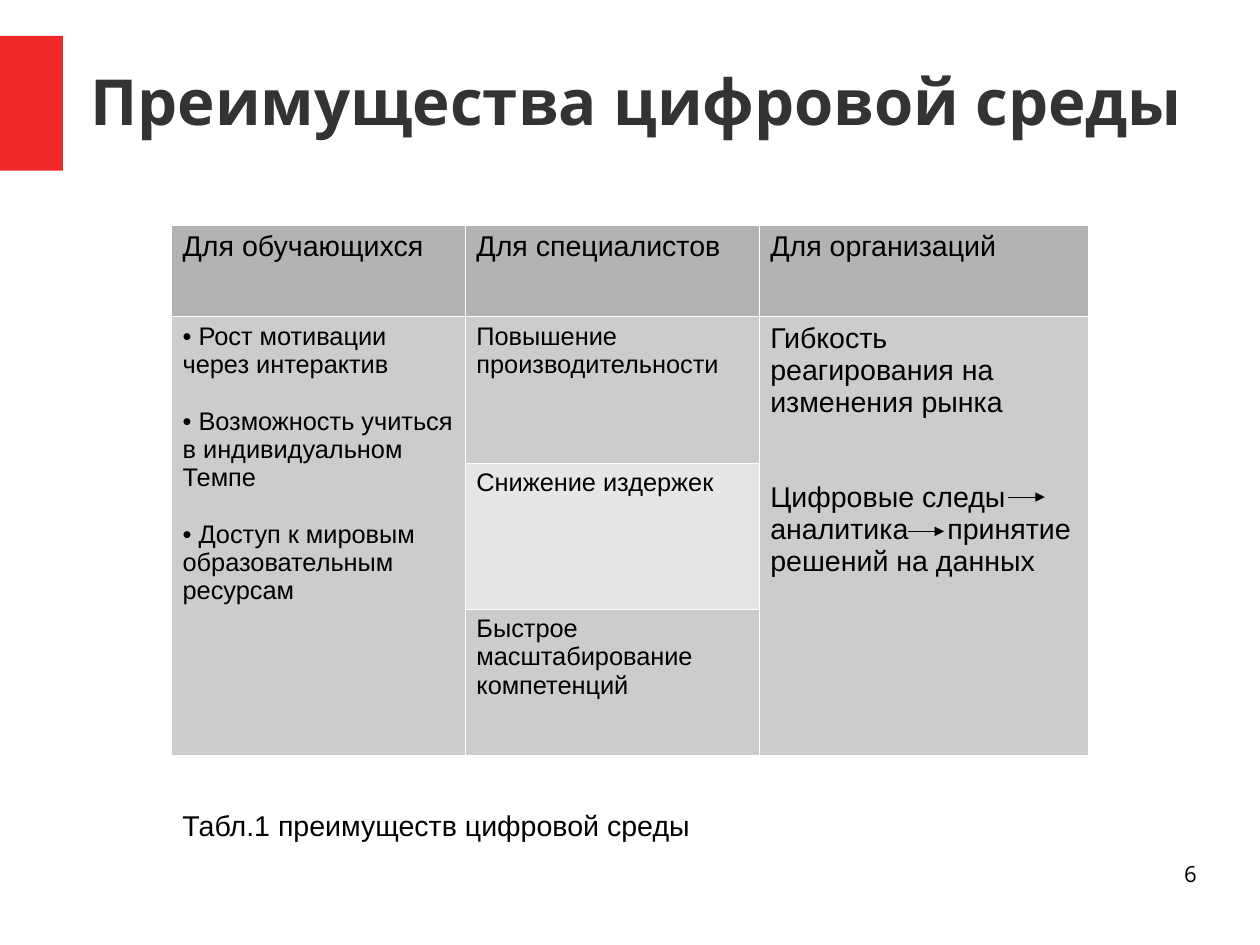
from dataclasses import dataclass
from typing import Any

import lxml.etree
import pptx
import pptx.dml.color
import pptx.enum.shapes
import pptx.enum.text
import pptx.oxml.ns
import pptx.util

COLUMNS, ROWS = 110, 83
SLIDE_WIDTH = pptx.util.Cm(28)
SLIDE_HEIGHT = pptx.util.Cm(21)
COLORS = {
    "accent": "EF2929", "title": "333333", "text": "000000", "border": "FFFFFF",
    "header": "B3B3B3", "dark": "CCCCCC", "light": "E6E6E6",
}
COLUMN_WIDTHS = (25.65, 25.65, 28.75)
ROW_HEIGHTS = (8.03, 12.85, 12.85, 12.85)
TABLE_LEFT, TABLE_TOP = 14.95, 19.77
ARROW_LENGTH = 3.19
ANALYTICS_TAB = pptx.util.Inches(1.55)


@dataclass
class Label:
    text: str
    left: float
    top: float
    width: float
    height: float
    size: float
    font: str = "Arial"
    color: str = "text"
    bold: bool = False
    wrap: bool = True
    inset: bool = False
    align: Any = pptx.enum.text.PP_ALIGN.LEFT
    anchor: Any = pptx.enum.text.MSO_ANCHOR.TOP


@dataclass
class Entry:
    row: int
    column: int
    groups: tuple[tuple[str, ...], ...]
    size: float = 16
    gap: float = 0
    row_span: int = 1


@dataclass
class Arrow:
    left: float
    top: float


LABELS = (
    Label("Преимущества цифровой среды", 7.88, 1, 96.6, 15.66, 40, "Open Sans", "title",
          bold=True, anchor=pptx.enum.text.MSO_ANCHOR.MIDDLE),
    Label("Табл.1 преимуществ цифровой среды", TABLE_LEFT, 70.5, 46.3, 3.81, 18,
          wrap=False, inset=True),
    Label("6", 78.83, 75.57, 25.65, 5.72, 14, "Open Sans",
          align=pptx.enum.text.PP_ALIGN.RIGHT),
)
ENTRIES = (
    Entry(0, 0, (("Для обучающихся",),), 18),
    Entry(0, 1, (("Для специалистов",),), 18),
    Entry(0, 2, (("Для организаций",),), 18),
    Entry(1, 0, (("• Рост мотивации", "через интерактив"),
                 ("• Возможность учиться", "в индивидуальном", "Темпе"),
                 ("• Доступ к мировым", "образовательным", "ресурсам")),
          gap=18, row_span=3),
    Entry(1, 1, (("Повышение производительности",),)),
    Entry(2, 1, (("Снижение издержек",),)),
    Entry(3, 1, (("Быстрое масштабирование", "компетенций"),)),
    Entry(1, 2, (("Гибкость реагирования на", "изменения рынка"),
                 ("Цифровые следы", "аналитика\tпринятие", "решений на данных")),
          18, gap=40, row_span=3),
)
ARROWS = (Arrow(88.02, 43.66), Arrow(79.23, 46.67))


def across(columns: float) -> int:
    return round(SLIDE_WIDTH * columns / COLUMNS)


def down(rows: float) -> int:
    return round(SLIDE_HEIGHT * rows / ROWS)


def color(name: str) -> pptx.dml.color.RGBColor:
    return pptx.dml.color.RGBColor.from_string(COLORS[name])


def add_element(parent: Any, tag: str, **attributes: str) -> Any:
    return lxml.etree.SubElement(parent, pptx.oxml.ns.qn(tag), attributes)


def style_font(paragraph: Any, size: float, name: str, color_name: str, bold: bool) -> None:
    paragraph.font.size = pptx.util.Pt(size)
    paragraph.font.name = name
    paragraph.font.bold = bold
    paragraph.font.color.rgb = color(color_name)


def add_label(slide: Any, label: Label) -> None:
    shape = slide.shapes.add_textbox(across(label.left), down(label.top),
                                     across(label.width), down(label.height))
    frame = shape.text_frame
    frame.word_wrap = label.wrap
    frame.vertical_anchor = label.anchor
    if not label.inset:
        frame.margin_left = frame.margin_right = frame.margin_top = frame.margin_bottom = 0
    paragraph = frame.paragraphs[0]
    paragraph.text = label.text
    paragraph.alignment = label.align
    style_font(paragraph, label.size, label.font, label.color, label.bold)


def add_accent(slide: Any) -> None:
    shape = slide.shapes.add_shape(pptx.enum.shapes.MSO_SHAPE.RECTANGLE,
                                   0, down(3.15), across(5.49), down(11.84))
    shape.shadow.inherit = False
    shape.fill.solid()
    shape.fill.fore_color.rgb = color("accent")
    shape.line.fill.background()


def style_cell(cell: Any, fill_name: str) -> None:
    properties = cell._tc.get_or_add_tcPr()
    for side in ("a:lnL", "a:lnR", "a:lnT", "a:lnB"):
        border = add_element(properties, side, w=str(pptx.util.Pt(0.06)))
        add_element(add_element(border, "a:solidFill"), "a:srgbClr", val=COLORS["border"])
    cell.fill.solid()
    cell.fill.fore_color.rgb = color(fill_name)


def fill_entry(table: Any, entry: Entry) -> None:
    cell = table.cell(entry.row, entry.column)
    if entry.row_span > 1:
        cell.merge(table.cell(entry.row + entry.row_span - 1, entry.column))
    frame = cell.text_frame
    for group_index, group in enumerate(entry.groups):
        for line_index, line in enumerate(group):
            is_first = group_index == line_index == 0
            paragraph = frame.paragraphs[0] if is_first else frame.add_paragraph()
            paragraph.text = line
            if group_index and not line_index:
                paragraph.space_before = pptx.util.Pt(entry.gap)
            if "\t" in line:
                tabs = add_element(paragraph._p.get_or_add_pPr(), "a:tabLst")
                add_element(tabs, "a:tab", pos=str(ANALYTICS_TAB), algn="l")
            style_font(paragraph, entry.size, "Arial", "text", False)


def add_benefits_table(slide: Any) -> None:
    table = slide.shapes.add_table(
        len(ROW_HEIGHTS), len(COLUMN_WIDTHS), across(TABLE_LEFT), down(TABLE_TOP),
        across(sum(COLUMN_WIDTHS)), down(sum(ROW_HEIGHTS))).table
    table.first_row = table.horz_banding = False
    for column, width in zip(table.columns, COLUMN_WIDTHS):
        column.width = across(width)
    for index, height in enumerate(ROW_HEIGHTS):
        table.rows[index].height = down(height)
        for column in range(len(COLUMN_WIDTHS)):
            body = "light" if (index, column) == (2, 1) else "dark"
            style_cell(table.cell(index, column), body if index else "header")
    for entry in ENTRIES:
        fill_entry(table, entry)


def add_arrow(slide: Any, arrow: Arrow) -> None:
    connector = slide.shapes.add_connector(
        pptx.enum.shapes.MSO_CONNECTOR.STRAIGHT, across(arrow.left), down(arrow.top),
        across(arrow.left + ARROW_LENGTH), down(arrow.top))
    connector.line.width = pptx.util.Pt(0.01)
    connector.line.color.rgb = color("text")
    add_element(connector.line._get_or_add_ln(), "a:tailEnd", type="triangle")
    add_element(connector._element.spPr, "a:effectLst")


def main() -> None:
    presentation = pptx.Presentation()
    presentation.slide_width = SLIDE_WIDTH
    presentation.slide_height = SLIDE_HEIGHT
    slide = presentation.slides.add_slide(presentation.slide_layouts[6])
    add_accent(slide)
    add_benefits_table(slide)
    for arrow in ARROWS:
        add_arrow(slide, arrow)
    for label in LABELS:
        add_label(slide, label)
    presentation.save("out.pptx")


if __name__ == "__main__":
    main()
